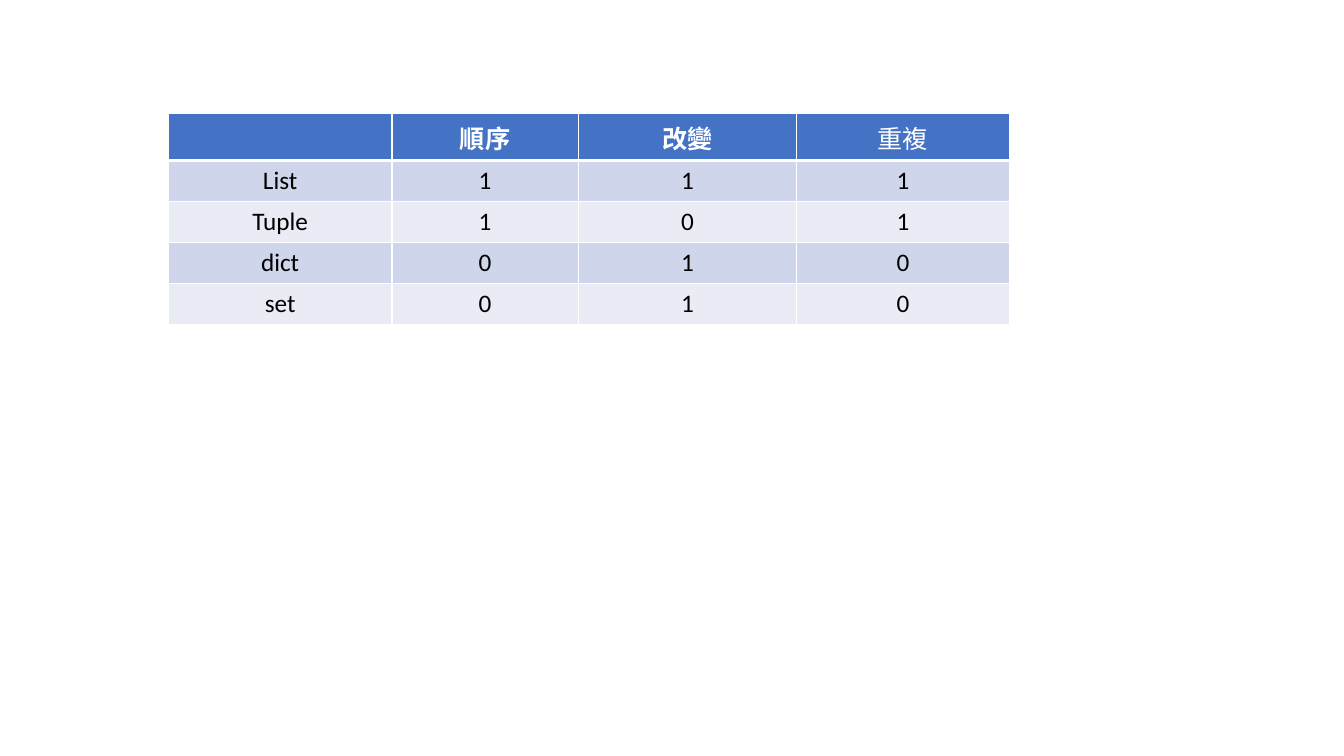
from dataclasses import dataclass

from lxml.etree import SubElement
from pptx import Presentation
from pptx.dml.color import RGBColor as Rgb
from pptx.enum.text import MSO_ANCHOR as Anchor, PP_ALIGN as Align
from pptx.oxml.ns import qn
from pptx.util import Inches, Pt


@dataclass(frozen=True)
class Theme:
    font: str = "Calibri"
    size: int = 18
    header_fill: str = "4472C4"
    header_text: str = "FFFFFF"
    body_text: str = "000000"
    bands: tuple = ("CFD5EA", "E9EBF5")
    border: str = "FFFFFF"
    thin: int = 1
    thick: int = 3


THEME = Theme()
SLIDE_SIZE = (13.33, 7.5)
TABLE_BOX = (1.67, 1.13, 8.34, 2.03)  # left, top, width, height
COLUMN_WIDTHS = (2.22, 1.85, 2.17, 2.11)
HEADINGS = ("", "順序", "改變", "重複")
PLAIN_HEADING = "重複"
COLLECTIONS = (
    ("List", 1, 1, 1),
    ("Tuple", 1, 0, 1),
    ("dict", 0, 1, 0),
    ("set", 0, 1, 0),
)


def draw_borders(cell, top, bottom):
    """Edge lines must be written before the cell's fill."""
    properties = cell._tc.get_or_add_tcPr()
    widths = {"lnL": THEME.thin, "lnR": THEME.thin, "lnT": top, "lnB": bottom}
    for edge, width in widths.items():
        line = SubElement(properties, qn(f"a:{edge}"), w=str(Pt(width)))
        solid = SubElement(line, qn("a:solidFill"))
        SubElement(solid, qn("a:srgbClr"), val=THEME.border)


def fill_cell(cell, content, fill, color, bold):
    cell.fill.solid()
    cell.fill.fore_color.rgb = Rgb.from_string(fill)
    cell.vertical_anchor = Anchor.TOP
    paragraph = cell.text_frame.paragraphs[0]
    paragraph.alignment = Align.CENTER
    paragraph.font.size = Pt(THEME.size)
    if content != "":
        run = paragraph.add_run()
        run.text = str(content)
        run.font.name = THEME.font
        run.font.size = Pt(THEME.size)
        run.font.bold = bold
        run.font.color.rgb = Rgb.from_string(color)


def add_collection_table(slide, box):
    records = (HEADINGS, *COLLECTIONS)
    left, top, width, height = (Inches(length) for length in box)
    table = slide.shapes.add_table(
        len(records), len(HEADINGS), left, top, width, height).table

    # Columns share the box width in proportion
    for column, share in zip(table.columns, COLUMN_WIDTHS):
        column.width = int(width * share / sum(COLUMN_WIDTHS))

    # Header, then alternating bands
    for row, record in enumerate(records):
        header = row == 0
        fill = THEME.header_fill if header else THEME.bands[(row - 1) % 2]
        color = THEME.header_text if header else THEME.body_text
        above = THEME.thick if row == 1 else THEME.thin
        below = THEME.thick if header else THEME.thin
        for col, content in enumerate(record):
            cell = table.cell(row, col)
            draw_borders(cell, above, below)
            fill_cell(cell, content, fill, color,
                      bold=header and content != PLAIN_HEADING)


def main():
    deck = Presentation()
    deck.slide_width, deck.slide_height = map(Inches, SLIDE_SIZE)
    slide = deck.slides.add_slide(deck.slide_layouts.get_by_name("Blank"))
    add_collection_table(slide, TABLE_BOX)
    deck.save("out.pptx")


if __name__ == "__main__":
    main()
